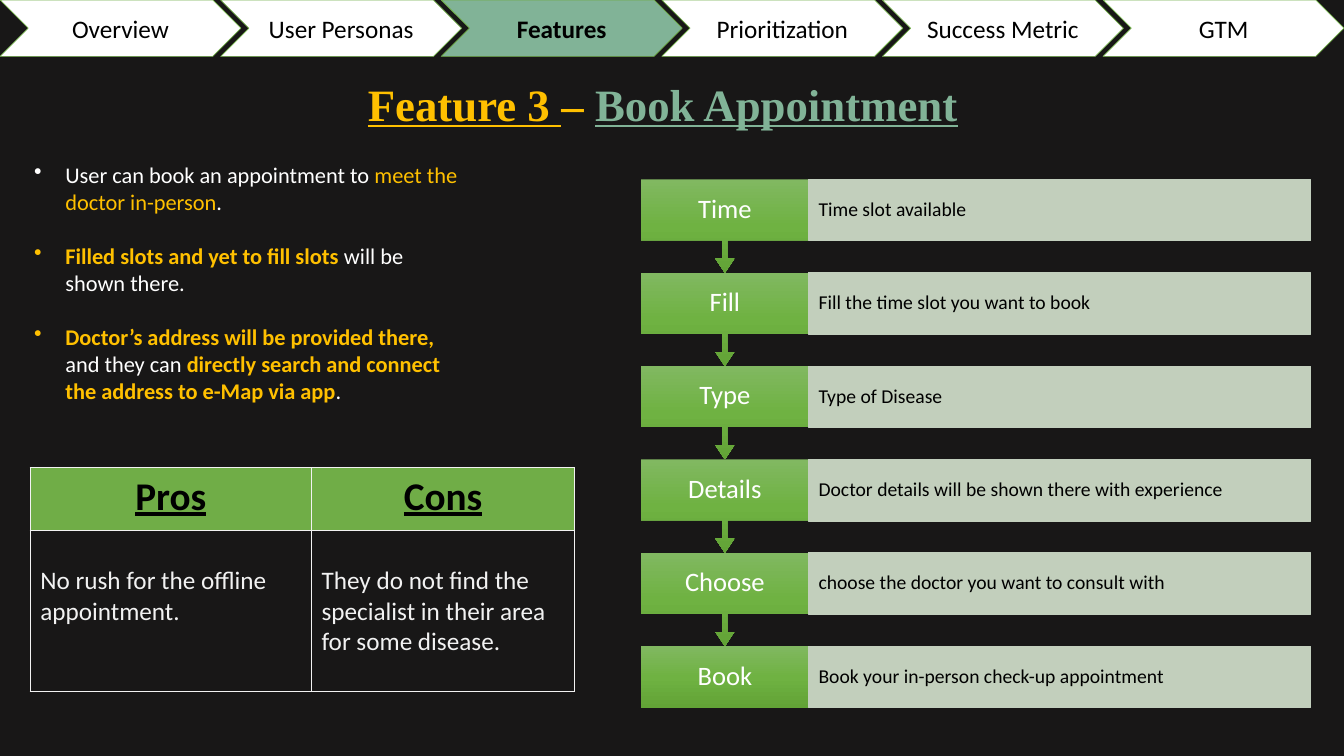
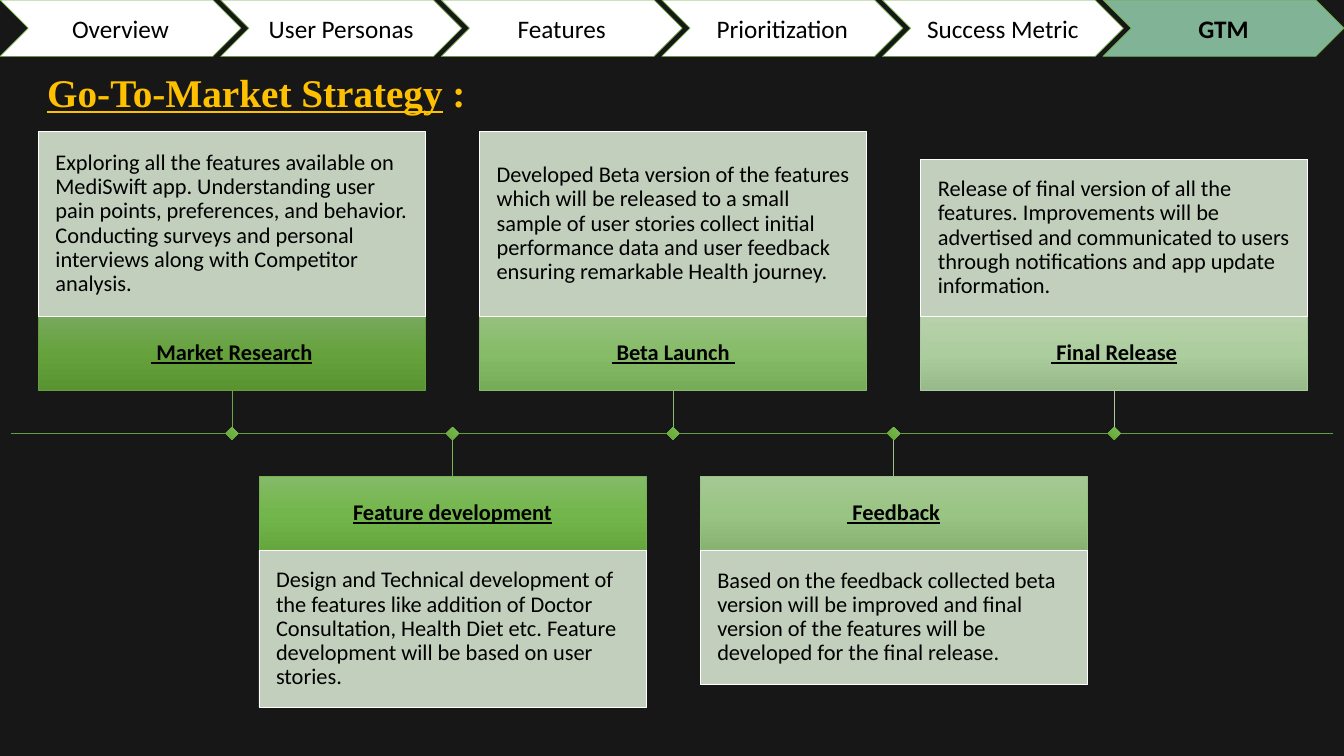
import pptx
import pptx.dml.color
import pptx.enum.shapes
import pptx.enum.text
import pptx.oxml.ns
import pptx.util
from lxml import etree

W, H = 13.33, 7.5
SANS, SERIF = "Calibri", "Times New Roman"
HUES = {
    "back": "181717", "white": "FFFFFF", "black": "000000", "gold": "FFC000",
    "teal": "81B397", "green": "70AD47", "pale": "D5E3CF", "edge": "C2CFBD",
    "grid": "F2F2F2", "axis": "669D40",
}
RAMP = ("81B861", "6FB242", "62A336")
SHAPE = pptx.enum.shapes.MSO_SHAPE
LEFT = pptx.enum.text.PP_ALIGN.LEFT
MID = pptx.enum.text.PP_ALIGN.CENTER
inch = pptx.util.Inches
qn = pptx.oxml.ns.qn

TABS = ["Overview", "User Personas", "Features", "Prioritization",
        "Success Metric", "GTM"]
TAB_W, TAB_H = 2.39, 0.56
COL = (W - TAB_W) / (len(TABS) - 1)

NOTES = [
    [("User can book an appointment to ", "white"),
     ("meet the doctor in-person", "gold"), (".", "white")],
    [("Filled slots and yet to fill slots ", "gold", True),
     ("will be shown there.", "white")],
    [("Doctor’s address will be provided there, ", "gold", True),
     ("and they can ", "white"),
     ("directly search and connect the address to e-Map via app", "gold", True),
     (".", "white")],
]
STEPS = [
    ("Time", "Time slot available"),
    ("Fill", "Fill the time slot you want to book"),
    ("Type", "Type of Disease"),
    ("Details", "Doctor details will be shown there with experience"),
    ("Choose", "choose the doctor you want to consult with"),
    ("Book", "Book your in-person check-up appointment"),
]
VIEWS = [
    ("Pros", "No rush for the offline appointment."),
    ("Cons", "They do not find the specialist in their area for some disease."),
]
# name, text, height of the text panel, gradient, outline, stem
STAGES = [
    (" Market Research",
     "Exploring all the features available on MediSwift app. Understanding "
     "user pain points, preferences, and behavior. Conducting surveys and "
     "personal interviews along with Competitor analysis.",
     1.84, ("78A95E", "65A23C", "599431"), "669D40", "6BA544"),
    ("Feature development",
     "Design and Technical development of the features like addition of "
     "Doctor Consultation, Health Diet etc. Feature development will be "
     "based on user stories.",
     1.56, ("85BA68", "73B64B", "65A73D"), "75B14F", "79B455"),
    (" Beta Launch ",
     "Developed Beta version of the features which will be released to a "
     "small sample of user stories collect initial performance data and user "
     "feedback ensuring remarkable Health journey.",
     1.84, ("95C07E", "86BC68", "76AC58"), "87B86B", "8ABA6F"),
    (" Feedback",
     "Based on the feedback collected beta version will be improved and final "
     "version of the features will be developed for the final release.",
     1.33, ("A5C894", "99C483", "87B271"), "9AC186", "9BC288"),
    (" Final Release",
     "Release of final version of all the features. Improvements will be "
     "advertised and communicated to users through notifications and app "
     "update information.",
     1.56, ("B7D1AB", "ACCD9E", "98B989"), "ADCBA0", "ADCA9F"),
]


def rgb(hue):
    return pptx.dml.color.RGBColor.from_string(HUES.get(hue, hue))


def style(font, size, hue, bold=False, under=False, face=SANS):
    font.name, font.size = face, pptx.util.Pt(size)
    font.color.rgb = rgb(hue)
    font.bold, font.underline = bold, under


def mix(par, parts, size, face=SANS):
    """Fill a paragraph with runs given as (text, hue, bold, underline)."""
    for text, *look in parts:
        run = par.add_run()
        run.text = text
        style(run.font, size, *look, face=face)


def label(shape, text, size, hue="black", align=MID, pad=0.1,
          space=0.9, **look):
    frame = shape.text_frame
    frame.text = text
    frame.word_wrap = True
    frame.vertical_anchor = pptx.enum.text.MSO_ANCHOR.MIDDLE
    frame.margin_left = frame.margin_right = inch(pad)
    frame.margin_top = frame.margin_bottom = inch(0.05)
    par = frame.paragraphs[0]
    par.alignment, par.line_spacing = align, space
    style(par.runs[0].font, size, hue, **look)


def shade(shape, ramp):
    """Paint a three-stop gradient from top to bottom."""
    shape.fill.gradient()
    shape.fill.gradient_angle = 270
    stops = shape.element.spPr.find(".//" + qn("a:gsLst"))
    stops.clear()
    for pos, hue in zip((0, 50000, 100000), ramp):
        stop = etree.SubElement(stops, qn("a:gs"), pos=str(pos))
        etree.SubElement(stop, qn("a:srgbClr"), val=hue)


def block(slide, kind, spot, fill, line=None, adjust=()):
    """Add a shape; fill is one hue or a tuple of gradient stops."""
    shape = slide.shapes.add_shape(kind, *map(inch, spot))
    shape.shadow.inherit = False
    for i, share in enumerate(adjust):
        shape.adjustments[i] = share
    if isinstance(fill, tuple):
        shade(shape, fill)
    else:
        shape.fill.solid()
        shape.fill.fore_color.rgb = rgb(fill)
    if line:
        shape.line.color.rgb = rgb(line)
        shape.line.width = pptx.util.Pt(0.5)
    else:
        shape.line.fill.background()
    return shape


def panel(slide, spot, line, text, size, pad):
    """Add a pale, slightly clear box of left-aligned text."""
    shape = block(slide, SHAPE.RECTANGLE, spot, "pale", line)
    tint = shape.element.spPr.find(qn("a:solidFill") + "/" + qn("a:srgbClr"))
    etree.SubElement(tint, qn("a:alpha"), val="90000")
    label(shape, text, size, align=LEFT, pad=pad)


def rule(slide, start, end, hue):
    line = slide.shapes.add_connector(
        pptx.enum.shapes.MSO_CONNECTOR.STRAIGHT, *map(inch, start + end))
    line.line.color.rgb = rgb(hue)
    line.line.width = pptx.util.Pt(0.5)
    etree.SubElement(line.element.spPr, qn("a:effectLst"))


def area(slide, spot):
    frame = slide.shapes.add_textbox(*map(inch, spot)).text_frame
    frame.word_wrap = True
    return frame


def title(slide, spot, size, parts):
    mix(area(slide, spot).paragraphs[0], parts, size, SERIF)


def page(deck, here):
    """Add a dark slide with the tab bar, the current tab marked."""
    slide = deck.slides.add_slide(deck.slide_layouts[6])
    slide.background.fill.solid()
    slide.background.fill.fore_color.rgb = rgb("back")
    for i, name in enumerate(TABS):
        tab = block(slide, SHAPE.NOTCHED_RIGHT_ARROW,
                    (i * COL, 0, TAB_W, TAB_H),
                    "teal" if name == here else "white", "green", (1, 0.5))
        label(tab, name, 18, space=1, bold=name == here)
    return slide


def notes(slide, spot):
    frame = area(slide, spot)
    for i, parts in enumerate(NOTES):
        par = frame.add_paragraph() if i else frame.paragraphs[0]
        props = par._p.get_or_add_pPr()
        props.set("marL", str(inch(0.31)))
        props.set("indent", str(-inch(0.31)))
        etree.SubElement(props, qn("a:buChar"), char="•")
        if i:
            par.space_before = pptx.util.Pt(19.5)
        mix(par, parts, 16)


def flow(slide, left, top, last):
    gap = (last - top) / (len(STEPS) - 1)
    wide, high = 1.66, 0.61
    for i, (name, text) in enumerate(STEPS):
        y = top + i * gap
        if i < len(STEPS) - 1:
            step = block(slide, SHAPE.DOWN_ARROW_CALLOUT, (left, y, wide, gap),
                         RAMP, adjust=(0.05, 0.1, 0.15, 0.65))
        else:
            step = block(slide, SHAPE.RECTANGLE, (left, y, wide, high), RAMP)
        label(step, name, 19, "white")
        panel(slide, (left + wide, y, 3 * wide, high), "edge", text, 14, 0.1)


def frame_cell(cell):
    props = cell._tc.get_or_add_tcPr()
    for side in ("a:lnL", "a:lnR", "a:lnT", "a:lnB"):
        line = etree.SubElement(props, qn(side), w="12700")
        fill = etree.SubElement(line, qn("a:solidFill"))
        etree.SubElement(fill, qn("a:srgbClr"), val=HUES["grid"])


def views(slide, left, top, cols, rows):
    table = slide.shapes.add_table(
        2, 2, *map(inch, (left, top, sum(cols), sum(rows)))).table
    table.first_row = table.horz_banding = False
    for i in range(2):
        table.columns[i].width = inch(cols[i])
        table.rows[i].height = inch(rows[i])
    for x, (name, text) in enumerate(VIEWS):
        head, body = table.cell(0, x), table.cell(1, x)
        for cell, words in ((head, name), (body, text)):
            frame_cell(cell)
            cell.text = words
        head.fill.solid()
        head.fill.fore_color.rgb = rgb("green")
        par = head.text_frame.paragraphs[0]
        par.alignment = MID
        style(par.runs[0].font, 28, "black", True, True)
        body.fill.background()
        body.margin_top = inch(0.35)
        style(body.text_frame.paragraphs[0].runs[0].font, 18, "grid")


def stages(slide, left, axis):
    """Place the stages above and below the axis in turn."""
    wide, high, stem, dot = 3.84, 0.73, 0.43, 0.09
    rule(slide, (0.11, axis), (W - 0.11, axis), "axis")
    for i, (name, text, tall, ramp, edge, hue) in enumerate(STAGES):
        x = left + i * COL
        mid = x + wide / 2
        if i % 2:
            end = axis + stem
            y, body = end, end + high
        else:
            end = axis - stem
            y = end - high
            body = y - tall
        head = block(slide, SHAPE.RECTANGLE, (x, y, wide, high), ramp, edge)
        label(head, name, 16, bold=True, under=True)
        panel(slide, (x, body, wide, tall), "white", text, 16, 0.17)
        rule(slide, (mid, end), (mid, axis), hue)
        mark = block(slide, SHAPE.RECTANGLE,
                     (mid - dot / 2, axis - dot / 2, dot, dot), RAMP)
        mark.rotation = 45


def main():
    deck = pptx.Presentation()
    deck.slide_width, deck.slide_height = inch(W), inch(H)

    slide = page(deck, "Features")
    title(slide, (3.55, 0.71, 6.23, 0.64), 32,
          [("Feature 3 ", "gold", True, True), ("– ", "gold", True),
           ("Book Appointment", "teal", True, True)])
    notes(slide, (0.24, 1.55, 4.49, 2.52))
    views(slide, 0.3, 4.64, (2.79, 2.61), (0.62, 1.6))
    flow(slide, 6.36, 1.78, 6.41)

    slide = page(deck, "GTM")
    title(slide, (0.37, 0.63, 4.71, 0.57), 28,
          [("Go-To-Market Strategy", "gold", True, True),
           (" :", "gold", True)])
    stages(slide, 0.38, 4.3)

    deck.save("out.pptx")


if __name__ == "__main__":
    main()
